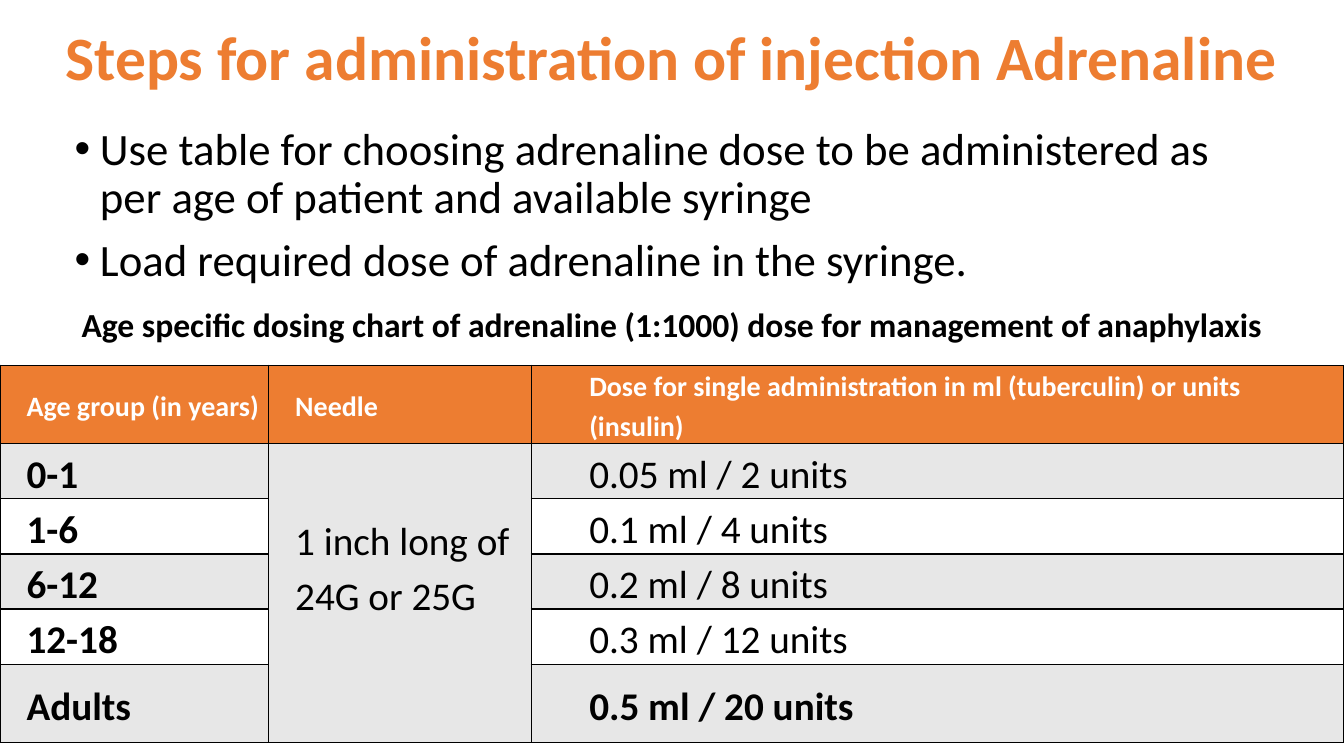
from lxml.etree import SubElement
from pptx import Presentation
from pptx.dml.color import RGBColor
from pptx.enum.text import MSO_ANCHOR, MSO_AUTO_SIZE, PP_ALIGN
from pptx.oxml import parse_xml
from pptx.oxml.ns import nsdecls, qn
from pptx.util import Cm, Pt

COLORS = {"orange": "ED7D31", "gray": "E7E7E7", "white": "FFFFFF", "black": "000000"}


def write(para, text, size, color="black", bold=False, align=PP_ALIGN.LEFT,
          spacing=1.0, before=0, left=0, hanging=0, bullet=None):
    properties = para._p.get_or_add_pPr()
    properties.set("marL", str(Cm(left)))
    properties.set("indent", str(-Cm(hanging)))
    if bullet:
        SubElement(properties, qn("a:buFont")).set("typeface", "Arial")
        SubElement(properties, qn("a:buChar")).set("char", bullet)
    para.alignment = align
    para.line_spacing = spacing
    para.space_before = Pt(before)
    span = para.add_run()
    span.text = text
    span.font.name = "Calibri"
    span.font.size = Pt(size)
    span.font.bold = bold
    span.font.color.rgb = RGBColor.from_string(COLORS[color])


deck = Presentation()
deck.slide_width, deck.slide_height = Cm(33.87), Cm(19.05)
page = deck.slides.add_slide(deck.slide_layouts[5])

title = page.shapes.title
title.left, title.top, title.width, title.height = Cm(0), Cm(0.1), Cm(33.87), Cm(2.84)
title.text_frame.auto_size = MSO_AUTO_SIZE.NONE
title.text_frame.vertical_anchor = MSO_ANCHOR.MIDDLE
write(title.text_frame.paragraphs[0], "Steps for administration of injection Adrenaline",
      44, color="orange", bold=True, align=PP_ALIGN.CENTER, spacing=0.9)

steps = [
    "Use table for choosing adrenaline dose to be administered as per age of patient and available syringe",
    "Load required dose of adrenaline in the syringe.",
]
steps_box = page.shapes.add_textbox(Cm(1.63), Cm(3.07), Cm(30.61), Cm(3.89))
steps_box.text_frame.word_wrap = True
for index, step in enumerate(steps):
    frame = steps_box.text_frame
    para = frame.add_paragraph() if index else frame.paragraphs[0]
    write(para, step, 32, spacing=0.9, before=10 if index else 0,
          left=0.64, hanging=0.64, bullet="•")

caption_box = page.shapes.add_textbox(Cm(0), Cm(7.54), Cm(33.87), Cm(1.27))
caption_box.text_frame.word_wrap = True
write(caption_box.text_frame.paragraphs[0],
      "Age specific dosing chart of adrenaline (1:1000) dose for management of anaphylaxis",
      24, bold=True, align=PP_ALIGN.CENTER)

dosing = [
    ("Age group (in years)", "Needle",
     "Dose for single administration in ml (tuberculin) or units (insulin)"),
    ("0-1", "1 inch long of 24G or 25G", "0.05 ml / 2 units"),
    ("1-6", "", "0.1 ml / 4 units"),
    ("6-12", "", "0.2 ml / 8 units"),
    ("12-18", "", "0.3 ml / 12 units"),
    ("Adults", "", "0.5 ml / 20 units"),
]
column_widths = [6.77, 6.62, 20.48]
row_heights = [1.98] + [1.39] * 4 + [1.98]
indents = [0.48, 0.48, 1.27]
last_row = len(dosing) - 1

table = page.shapes.add_table(len(dosing), 3, Cm(0), Cm(9.2), Cm(33.87),
                              Cm(sum(row_heights))).table
for column, width in zip(table.columns, column_widths):
    column.width = Cm(width)
for row, height in zip(table.rows, row_heights):
    row.height = Cm(height)
table.cell(1, 1).merge(table.cell(last_row, 1))

for row_index, texts in enumerate(dosing):
    for column_index, text in enumerate(texts):
        cell = table.cell(row_index, column_index)
        cell.margin_left = cell.margin_right = Cm(0.19)
        cell.margin_top = cell.margin_bottom = Cm(0)
        cell.vertical_anchor = MSO_ANCHOR.MIDDLE
        for side in ("lnL", "lnR", "lnT", "lnB"):
            cell._tc.get_or_add_tcPr().append(parse_xml(
                f'<a:{side} {nsdecls("a")} w="12700"><a:solidFill>'
                f'<a:srgbClr val="{COLORS["black"]}"/></a:solidFill></a:{side}>'))
        header = row_index == 0
        shaded = row_index % 2 == 1 or column_index == 1
        fill = "orange" if header else "gray" if shaded else "white"
        cell.fill.solid()
        cell.fill.fore_color.rgb = RGBColor.from_string(COLORS[fill])
        if text:
            write(cell.text_frame.paragraphs[0], text, 20 if header else 28,
                  color="white" if header else "black",
                  bold=header or column_index == 0 or row_index == last_row,
                  spacing=1.15, left=indents[column_index])
table.cell(1, 1).margin_bottom = Cm(row_heights[1])

deck.save("out.pptx")
